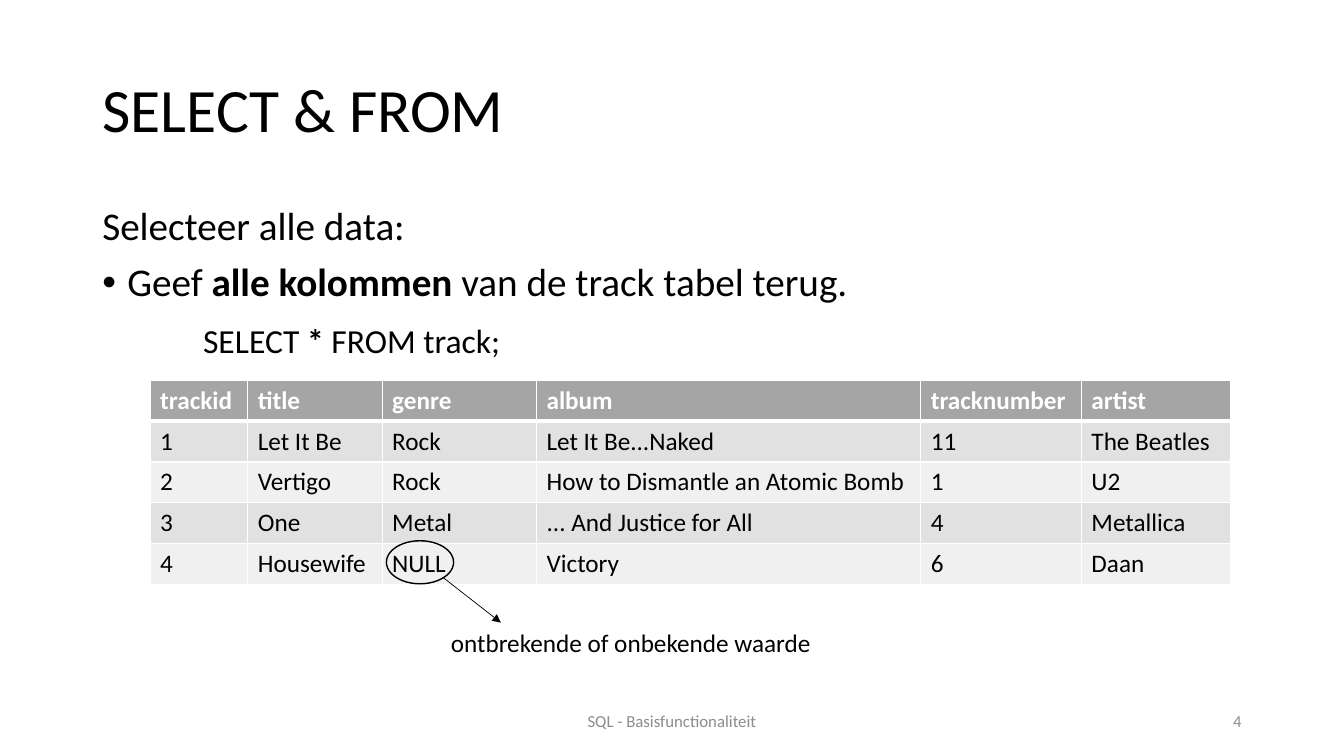
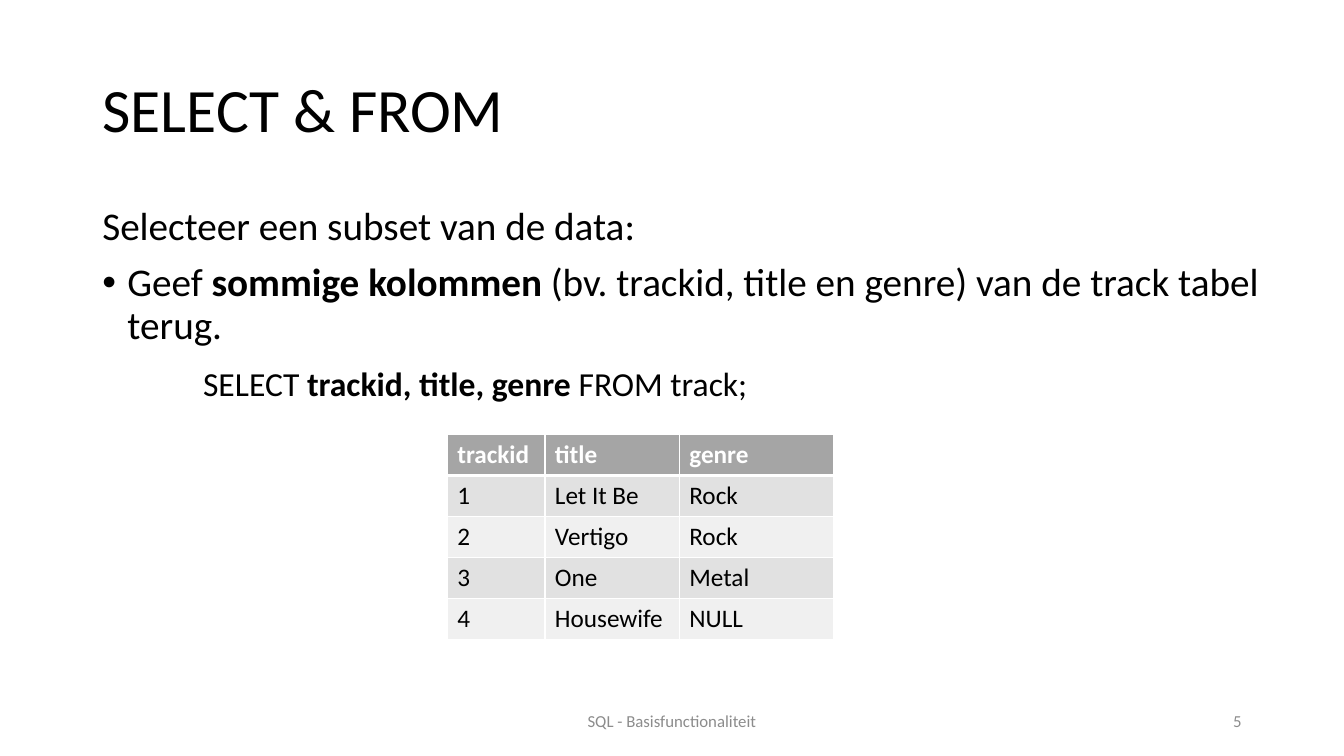
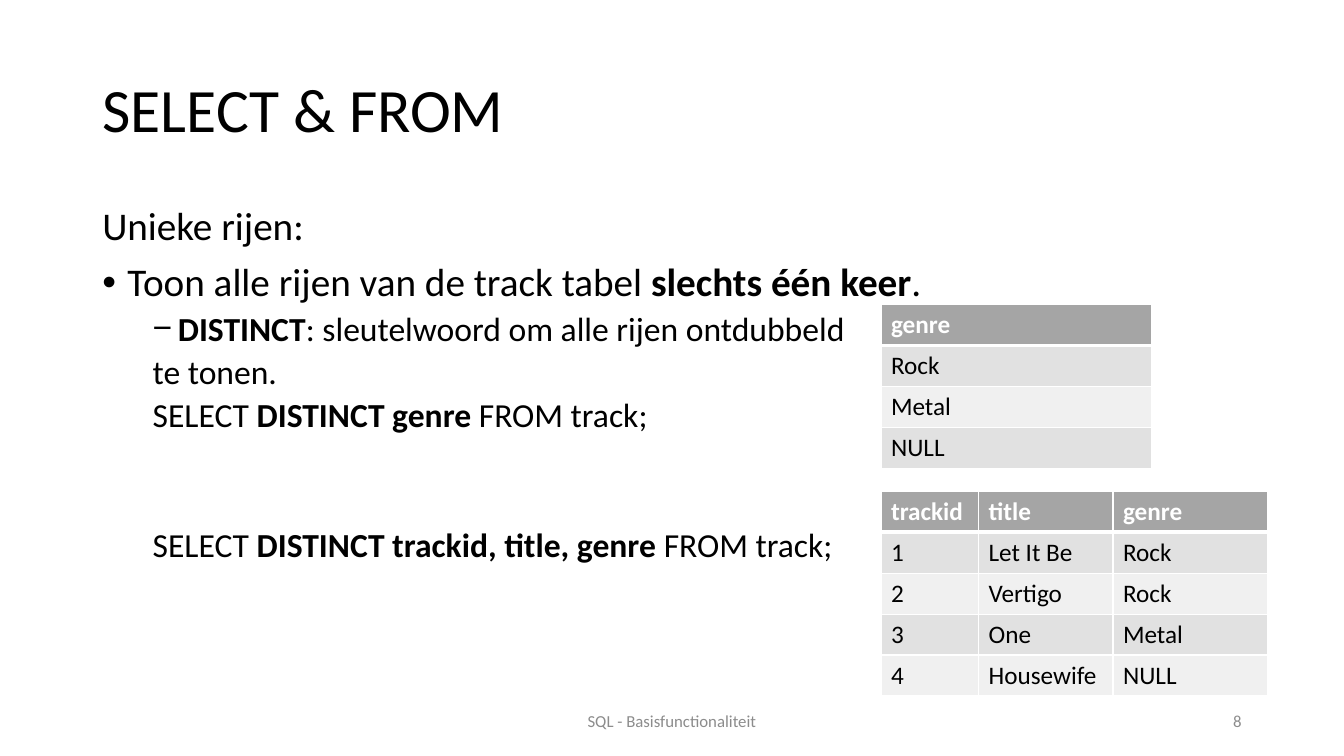
"""Build three slides on SELECT and FROM in SQL."""
import dataclasses

import pptx
import pptx.dml.color
import pptx.enum.shapes
import pptx.enum.text
import pptx.oxml.ns
import pptx.util
from lxml import etree

ALIGN = pptx.enum.text.PP_ALIGN
ANCHOR = pptx.enum.text.MSO_ANCHOR
AUTO_SIZE = pptx.enum.text.MSO_AUTO_SIZE


@dataclasses.dataclass(frozen=True)
class Theme:
    font: str = "Calibri"
    bullet_font: str = "Arial"
    ink: str = "000000"
    paper: str = "FFFFFF"
    muted: str = "8C8C8C"
    header: str = "A5A5A5"
    bands: tuple = ("E1E1E1", "F0F0F0")
    title_size: int = 44
    body_size: int = 28
    code_size: int = 24
    table_size: int = 18
    footer_size: int = 12
    line_spacing: float = 0.9


@dataclasses.dataclass(frozen=True)
class Line:
    wording: tuple
    size: int
    before: int
    margin: int = 0
    bullet: str = ""


THEME = Theme()
EMU_PER_PX = 9525
HANGING = 24
ROW_HEIGHT = 39
TRACK_WIDTHS = (93, 128, 147, 366, 153, 142)
TRACKS = (
    ("trackid", "title", "genre", "album", "tracknumber", "artist"),
    ("1", "Let It Be", "Rock", "Let It Be...Naked", "11", "The Beatles"),
    ("2", "Vertigo", "Rock", "How to Dismantle an Atomic Bomb", "1", "U2"),
    ("3", "One", "Metal", "... And Justice for All", "4", "Metallica"),
    ("4", "Housewife", "NULL", "Victory", "6", "Daan"),
)
TRACK_SUBSET = tuple(track[:3] for track in TRACKS)
GENRES = (("genre",), ("Rock",), ("Metal",), ("NULL",))


def px(*lengths):
    return [pptx.util.Emu(length * EMU_PER_PX) for length in lengths]


def rgb(color):
    return pptx.dml.color.RGBColor.from_string(color)


def add_element(parent, tag, **attributes):
    return etree.SubElement(parent, pptx.oxml.ns.qn(tag), attributes)


def style(paragraph, size, color=THEME.ink, bold=False):
    font = paragraph.font
    font.name = THEME.font
    font.size = pptx.util.Pt(size)
    font.bold = bold
    font.color.rgb = rgb(color)


def add_title(slide, text):
    title = slide.shapes.title
    title.left, title.top, title.width, title.height = px(88, 38, 1104, 139)
    frame = title.text_frame
    frame.text = text
    frame.auto_size = AUTO_SIZE.NONE
    frame.vertical_anchor = ANCHOR.MIDDLE
    heading = frame.paragraphs[0]
    heading.alignment = ALIGN.LEFT
    heading.line_spacing = THEME.line_spacing
    style(heading, THEME.title_size)


def add_label(slide, box, text, size, color=THEME.ink, align=ALIGN.LEFT,
              anchor=ANCHOR.TOP, wrap=True):
    frame = slide.shapes.add_textbox(*px(*box)).text_frame
    frame.word_wrap = wrap
    frame.auto_size = AUTO_SIZE.NONE if wrap else AUTO_SIZE.SHAPE_TO_FIT_TEXT
    frame.vertical_anchor = anchor
    label = frame.paragraphs[0]
    label.text = text
    label.alignment = align
    style(label, size, color)


def add_footer(slide, page):
    for left, width, text, align in (
            (424, 432, "SQL - Basisfunctionaliteit", ALIGN.CENTER),
            (904, 288, page, ALIGN.RIGHT)):
        add_label(slide, (left, 667, width, 38), text, THEME.footer_size,
                  THEME.muted, align, ANCHOR.MIDDLE)


def format_line(paragraph, line):
    properties = paragraph._p.get_or_add_pPr()
    hanging = HANGING if line.bullet else 0
    margin, indent = px(line.margin + hanging, -hanging)
    properties.set("marL", str(margin))
    properties.set("indent", str(indent))
    if line.bullet:
        add_element(properties, "a:buFont", typeface=THEME.bullet_font)
        add_element(properties, "a:buChar", char=line.bullet)
    paragraph.line_spacing = THEME.line_spacing
    paragraph.space_before = pptx.util.Pt(line.before)
    style(paragraph, line.size)
    for position, text in enumerate(line.wording):
        if text:
            run = paragraph.add_run()
            run.text = text
            if position % 2:
                run.font.bold = True


def add_body(slide, lines, width=1104):
    frame = slide.shapes.add_textbox(*px(88, 192, width, 457)).text_frame
    frame.word_wrap = True
    for position, line in enumerate(lines):
        paragraph = frame.add_paragraph() if position else frame.paragraphs[0]
        format_line(paragraph, line)


def intro(text):
    return Line((text,), THEME.body_size, 10)


def point(*wording):
    return Line(wording, THEME.body_size, 10, bullet="•")


def query(*wording, before=14, margin=96):
    return Line(wording, THEME.code_size, before, margin)


def add_borders(cell, top, bottom):
    properties = cell._tc.get_or_add_tcPr()
    for side, points in (("L", 1), ("R", 1), ("T", top), ("B", bottom)):
        border = add_element(properties, "a:ln" + side,
                             w=str(pptx.util.Pt(points)))
        fill = add_element(border, "a:solidFill")
        add_element(fill, "a:srgbClr", val=THEME.paper)


def add_data_table(slide, left, top, rows, widths):
    height = ROW_HEIGHT * len(rows)
    table = slide.shapes.add_table(
        len(rows), len(widths), *px(left, top, sum(widths), height)).table
    table.horz_banding = False
    for column, width in zip(table.columns, px(*widths)):
        column.width = width
    for number, values in enumerate(rows):
        is_header = number == 0
        fill = THEME.header if is_header else THEME.bands[(number - 1) % 2]
        color = THEME.paper if is_header else THEME.ink
        for position, value in enumerate(values):
            cell = table.cell(number, position)
            add_borders(cell, 3 if number == 1 else 1, 3 if is_header else 1)
            cell.fill.solid()
            cell.fill.fore_color.rgb = rgb(fill)
            cell.text = value
            style(cell.text_frame.paragraphs[0], THEME.table_size, color,
                  is_header)


def add_ring(slide, box):
    ring = slide.shapes.add_shape(
        pptx.enum.shapes.MSO_SHAPE.OVAL, *px(*box))
    ring.shadow.inherit = False
    ring.fill.background()
    ring.line.color.rgb = rgb(THEME.ink)
    ring.line.width = pptx.util.Pt(1)


def add_arrow(slide, start, end):
    arrow = slide.shapes.add_connector(
        pptx.enum.shapes.MSO_CONNECTOR.STRAIGHT, *px(*start, *end))
    arrow.line.color.rgb = rgb(THEME.ink)
    arrow.line.width = pptx.util.Pt(0.5)
    properties = arrow._element.spPr
    outline = properties.find(pptx.oxml.ns.qn("a:ln"))
    add_element(outline, "a:tailEnd", type="triangle")
    add_element(properties, "a:effectLst")


def add_topic(deck, page):
    slide = deck.slides.add_slide(deck.slide_layouts[5])
    add_title(slide, "SELECT & FROM")
    add_footer(slide, page)
    return slide


def build_all_columns(deck):
    slide = add_topic(deck, "4")
    add_body(slide, (
        intro("Selecteer alle data:"),
        point("Geef ", "alle kolommen", " van de track tabel terug."),
        query("SELECT ", "*", " FROM track;"),
    ))
    add_data_table(slide, 143, 362, TRACKS, TRACK_WIDTHS)
    add_ring(slide, (368, 515, 64, 41))
    add_label(slide, (420, 593, 367, 38), "ontbrekende of onbekende waarde",
              THEME.table_size, wrap=False)
    add_arrow(slide, (422, 550), (477, 593))


def build_some_columns(deck):
    slide = add_topic(deck, "5")
    add_body(slide, (
        intro("Selecteer een subset van de data:"),
        point("Geef ", "sommige kolommen ",
              "(bv. trackid, title en genre) van de track tabel terug."),
        query("SELECT ", "trackid, title, genre", " FROM track;"),
    ), width=1135)
    add_data_table(slide, 426, 414, TRACK_SUBSET, TRACK_WIDTHS[:3])


def build_unique_rows(deck):
    slide = add_topic(deck, "8")
    add_body(slide, (
        intro("Unieke rijen:"),
        point("Toon alle rijen van de track tabel ", "slechts één keer", "."),
        Line(("", "DISTINCT", ": sleutelwoord om alle rijen ontdubbeld"),
             THEME.code_size, 5, margin=48, bullet="−"),
        query("te tonen.", before=5, margin=48),
        query("SELECT ", "DISTINCT genre", " FROM track;",
              before=5, margin=48),
        query("SELECT ", "DISTINCT trackid, title, genre", " FROM track;",
              before=67, margin=48),
    ))
    add_data_table(slide, 839, 290, GENRES, (258,))
    add_data_table(slide, 839, 468, TRACK_SUBSET, TRACK_WIDTHS[:3])


def main():
    deck = pptx.Presentation()
    deck.slide_width, deck.slide_height = px(1280, 720)
    build_all_columns(deck)
    build_some_columns(deck)
    build_unique_rows(deck)
    deck.save("out.pptx")


if __name__ == "__main__":
    main()
